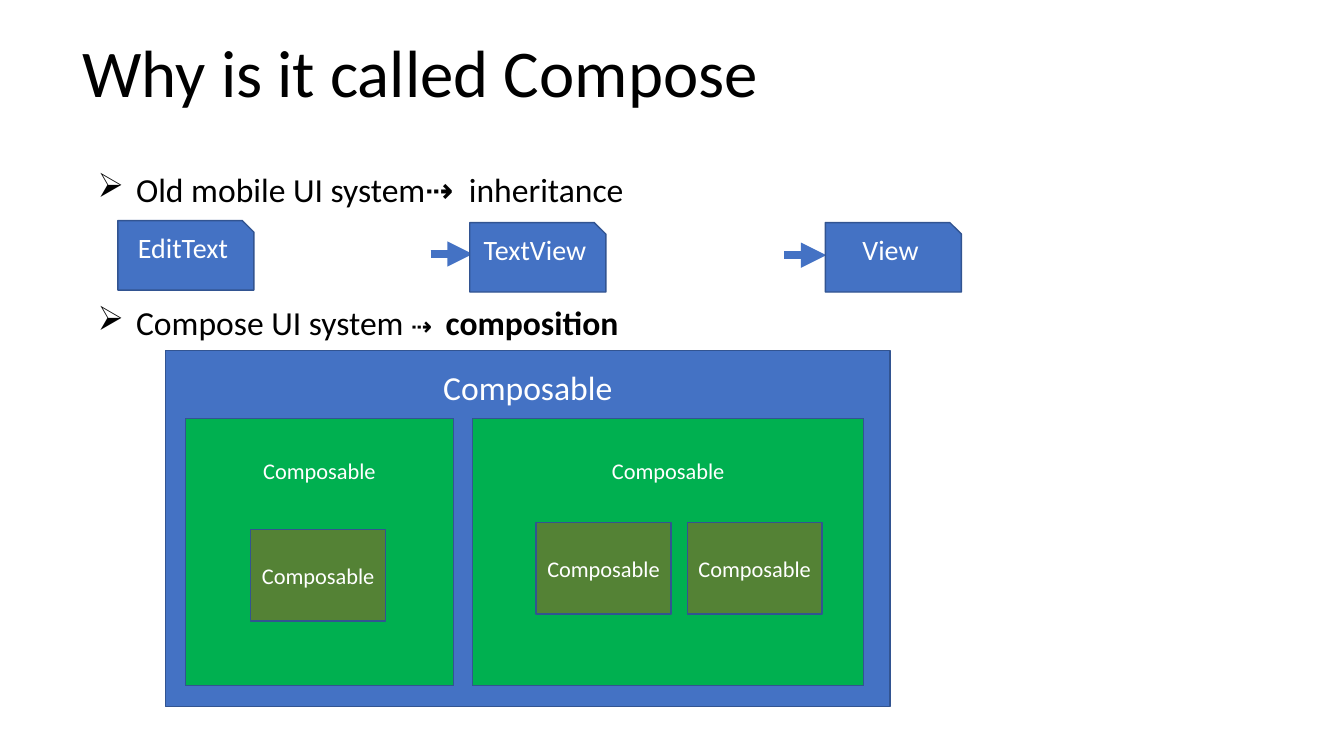
from lxml.etree import SubElement
from pptx import Presentation
from pptx.dml.color import RGBColor
from pptx.enum.shapes import MSO_CONNECTOR as Connector, MSO_SHAPE as Shape
from pptx.enum.text import MSO_ANCHOR as Anchor, PP_ALIGN as Align
from pptx.oxml.ns import qn
from pptx.util import Cm, Pt

BLACK = RGBColor(0x00, 0x00, 0x00)
WHITE = RGBColor(0xFF, 0xFF, 0xFF)
BLUE = RGBColor(0x44, 0x72, 0xC4)
OUTLINE = RGBColor(0x32, 0x54, 0x91)
GREEN = RGBColor(0x00, 0xB0, 0x50)
OLIVE = RGBColor(0x54, 0x82, 0x35)
FONT = "Calibri"
CLASS_SIZE = (3.43, 1.75)
LEAF_SIZE = (3.4, 2.31)


def add_run(paragraph, text, size=24, color=BLACK, bold=False):
    run = paragraph.add_run()
    run.text = text
    run.font.name = FONT
    run.font.size = Pt(size)
    run.font.bold = bold
    run.font.color.rgb = color


def add_text_frame(slide, left, top, width, height):
    box = slide.shapes.add_textbox(Cm(left), Cm(top), Cm(width), Cm(height))
    box.text_frame.word_wrap = True
    return box.text_frame


def add_title(slide, text):
    paragraph = add_text_frame(slide, 1.83, 0.87, 29.31, 2.1).paragraphs[0]
    paragraph.line_spacing = 0.9
    add_run(paragraph, text, size=47.7)


def add_bullet(slide, top, runs):
    """Add one bulleted line; runs holds (text, format) pairs."""
    paragraph = add_text_frame(slide, 2.21, top, 22.2, 1.27).paragraphs[0]
    properties = paragraph._p.get_or_add_pPr()
    properties.set("marL", str(Cm(0.97)))
    properties.set("indent", str(-Cm(0.97)))
    SubElement(properties, qn("a:buChar"), char="➢")
    for text, text_format in runs:
        add_run(paragraph, text, **text_format)


def add_block(slide, text, left, top, size, fill, font_size=16, kind=Shape.RECTANGLE, inset=None):
    """Add a labelled block; inset puts the label that far below the top, else it is centred."""
    width, height = size
    shape = slide.shapes.add_shape(kind, Cm(left), Cm(top), Cm(width), Cm(height))
    shape.shadow.inherit = False
    shape.fill.solid()
    shape.fill.fore_color.rgb = fill
    shape.line.color.rgb = OUTLINE
    shape.line.width = Pt(1)
    frame = shape.text_frame
    frame.word_wrap = True
    frame.margin_left = frame.margin_right = Cm(0.1)
    frame.vertical_anchor = Anchor.MIDDLE
    if inset is not None:
        frame.vertical_anchor = Anchor.TOP
        frame.margin_top = Cm(inset)
    paragraph = frame.paragraphs[0]
    paragraph.alignment = Align.CENTER
    add_run(paragraph, text, size=font_size, color=WHITE)


def add_arrow(slide, left, y, length=1.06):
    arrow = slide.shapes.add_connector(Connector.STRAIGHT, Cm(left), Cm(y), Cm(left + length), Cm(y))
    arrow.line.color.rgb = BLUE
    arrow.line.width = Pt(6)
    SubElement(arrow.line._get_or_add_ln(), qn("a:tailEnd"), type="triangle")
    SubElement(arrow._element.spPr, qn("a:effectLst"))


def add_inheritance_chain(slide):
    for left, y in ((10.85, 6.4), (19.76, 6.43)):
        add_arrow(slide, left, y)
    for text, left, top in (("EditText", 2.97, 5.56), ("TextView", 11.84, 5.61), ("View", 20.8, 5.61)):
        add_block(slide, text, left, top, CLASS_SIZE, BLUE, font_size=20,
                  kind=Shape.SNIP_1_RECTANGLE, inset=0.1)


def add_composition_tree(slide):
    label = "Composable"
    add_block(slide, label, 4.17, 8.84, (18.26, 8.97), BLUE, font_size=24, inset=0.41)
    for left, width in ((4.67, 6.76), (11.91, 9.86)):
        add_block(slide, label, left, 10.54, (width, 6.73), GREEN, inset=0.97)
    for left, top in ((6.32, 13.34), (13.51, 13.16), (17.32, 13.16)):
        add_block(slide, label, left, top, LEAF_SIZE, OLIVE)


def main():
    presentation = Presentation()
    presentation.slide_width = Cm(33.87)
    presentation.slide_height = Cm(19.05)
    slide = presentation.slides.add_slide(presentation.slide_layouts[6])

    add_title(slide, "Why is it called Compose")
    add_bullet(slide, 4.14, [("Old mobile UI system", {}), ("⇢ ", {"bold": True}), (" inheritance", {})])
    add_inheritance_chain(slide)
    add_bullet(slide, 7.49, [("Compose UI system ", {}), ("⇢ ", {"size": 18, "bold": True}),
                             (" composition", {"bold": True})])
    add_composition_tree(slide)
    presentation.save("out.pptx")


if __name__ == "__main__":
    main()
